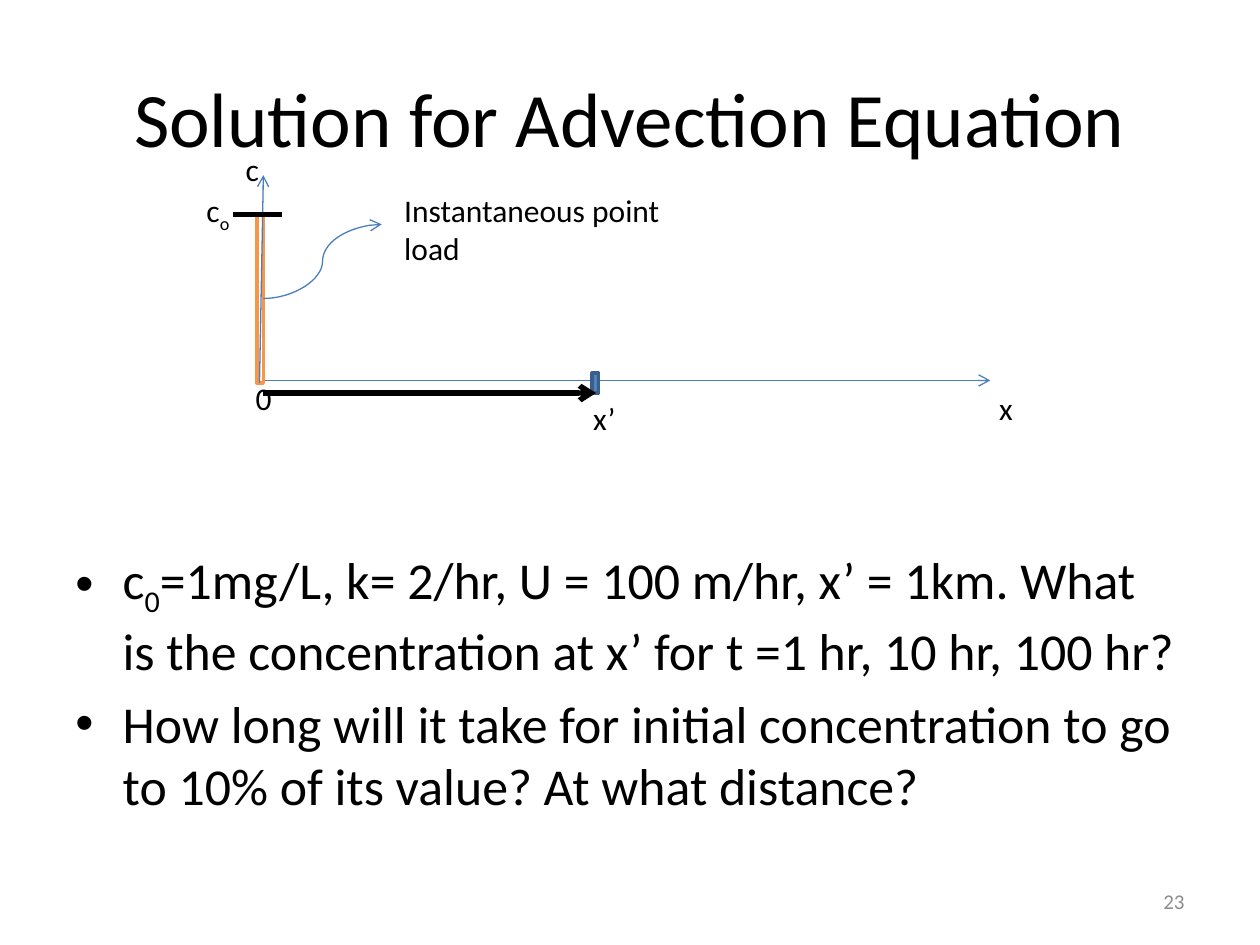
from lxml import etree
from pptx import Presentation
from pptx.dml.color import RGBColor
from pptx.enum import shapes, text
from pptx.oxml import ns
from pptx.util import Pt

COLORS = {"ink": "000000", "axis": "4B7EBC", "load": "F79646", "paper": "FFFFFF",
          "marker": "4F81BD", "marker_edge": "3A5F8C", "number": "8C8C8C"}
FONT = "Calibri"
LEFT, CENTER, RIGHT = text.PP_ALIGN.LEFT, text.PP_ALIGN.CENTER, text.PP_ALIGN.RIGHT
STRAIGHT, CURVE = shapes.MSO_CONNECTOR.STRAIGHT, shapes.MSO_CONNECTOR.CURVE

# A paragraph is a list of (words, is_subscript) pairs.
TITLE = [("Solution for Advection Equation", False)]
QUESTIONS = [
    [("c", False), ("0", True),
     ("=1mg/L, k= 2/hr, U = 100 m/hr, x’ = 1km. What  is the concentration "
      "at x’ for t =1 hr, 10 hr, 100 hr?", False)],
    [("How long will it take for initial concentration to go to 10% of its value? "
      "At what distance?", False)],
]
PAGE_NUMBER = [("23", False)]

# Diagram labels: paragraph, (left, top, width, height)
LABELS = [
    ([("c", False)], (133.2, 82.1, 20.2, 28.8)),
    ([("x", False)], (563.8, 218.9, 23, 28.8)),
    ([("0", False)], (139, 213.1, 23, 28.8)),
    ([("x’", False)], (331.9, 224.6, 45.4, 28.8)),
    ([("c", False), ("o", True)], (110.9, 105.8, 28.1, 28.8)),
    ([("Instantaneous point load", False)], (223.9, 105.8, 164.2, 51.1)),
]
# Bars: (left, top, width, height), fill, edge
LOAD_BAR = ((146.9, 122.4, 3.6, 96.5), "paper", "load")
POSITION_MARKER = ((338.4, 213.1, 3.6, 11.5), "marker", "marker_edge")
# Lines: kind, start, end, colour, width, has arrowhead
X_AXIS = (STRAIGHT, (146.9, 217.4), (565.9, 217.4), "axis", 0.75, True)
C_AXIS = (STRAIGHT, (148.3, 218.9), (150.5, 100.1), "axis", 0.75, True)
TRAVEL = (STRAIGHT, (150.5, 224.6), (340.6, 224.6), "ink", 3, True)
C0_TICK = (STRAIGHT, (161.3, 122.4), (133.2, 122.4), "ink", 3, False)
LOAD_POINTER = (CURVE, (150.5, 170.6), (218.2, 128.2), "axis", 0.75, True)


def rgb(name):
    return RGBColor.from_string(COLORS[name])


def add_text(slide, paragraphs, box, size, color="ink", align=LEFT,
             anchor=text.MSO_ANCHOR.TOP, bulleted=False):
    frame = slide.shapes.add_textbox(*map(Pt, box)).text_frame
    frame.word_wrap = True
    frame.vertical_anchor = anchor
    for index, pieces in enumerate(paragraphs):
        paragraph = frame.add_paragraph() if index else frame.paragraphs[0]
        paragraph.alignment = align
        if bulleted:
            add_bullet(paragraph, size)
        for words, subscript in pieces:
            run = paragraph.add_run()
            run.text = words
            run.font.name, run.font.size = FONT, Pt(size)
            run.font.color.rgb = rgb(color)
            if subscript:
                run.font._element.set("baseline", "-25000")


def add_bullet(paragraph, size):
    paragraph.space_before = Pt(size * 0.2)
    properties = paragraph._p.get_or_add_pPr()
    properties.set("marL", str(Pt(27)))
    properties.set("indent", str(Pt(-27)))
    etree.SubElement(properties, ns.qn("a:buFont")).set("typeface", "Arial")
    etree.SubElement(properties, ns.qn("a:buChar")).set("char", "•")


def add_bar(slide, box, fill, edge):
    bar = slide.shapes.add_shape(shapes.MSO_SHAPE.RECTANGLE, *map(Pt, box))
    bar.shadow.inherit = False
    bar.fill.solid()
    bar.fill.fore_color.rgb = rgb(fill)
    bar.line.color.rgb = rgb(edge)
    bar.line.width = Pt(2)


def add_line(slide, kind, start, end, color, width, arrow):
    connector = slide.shapes.add_connector(kind, *map(Pt, start + end))
    connector.line.color.rgb = rgb(color)
    connector.line.width = Pt(width)
    if arrow:
        etree.SubElement(connector.line._get_or_add_ln(), ns.qn("a:tailEnd")).set("type", "arrow")
    etree.SubElement(connector._element.spPr, ns.qn("a:effectLst"))


def main():
    deck = Presentation()
    deck.slide_width, deck.slide_height = Pt(720), Pt(540)
    slide = deck.slides.add_slide(deck.slide_layouts[6])
    middle = text.MSO_ANCHOR.MIDDLE

    add_text(slide, [TITLE], (36, 21.6, 648, 90), 44, align=CENTER, anchor=middle)
    add_text(slide, QUESTIONS, (36, 309.6, 648, 172.8), 29.6, bulleted=True)
    add_line(slide, *X_AXIS)
    add_bar(slide, *LOAD_BAR)
    add_bar(slide, *POSITION_MARKER)
    for line in (C_AXIS, TRAVEL, C0_TICK, LOAD_POINTER):
        add_line(slide, *line)
    for label, box in LABELS:
        add_text(slide, [label], box, 18)
    add_text(slide, [PAGE_NUMBER], (516.2, 500.4, 167.8, 28.8), 12, "number", RIGHT, middle)
    deck.save("out.pptx")


if __name__ == "__main__":
    main()
